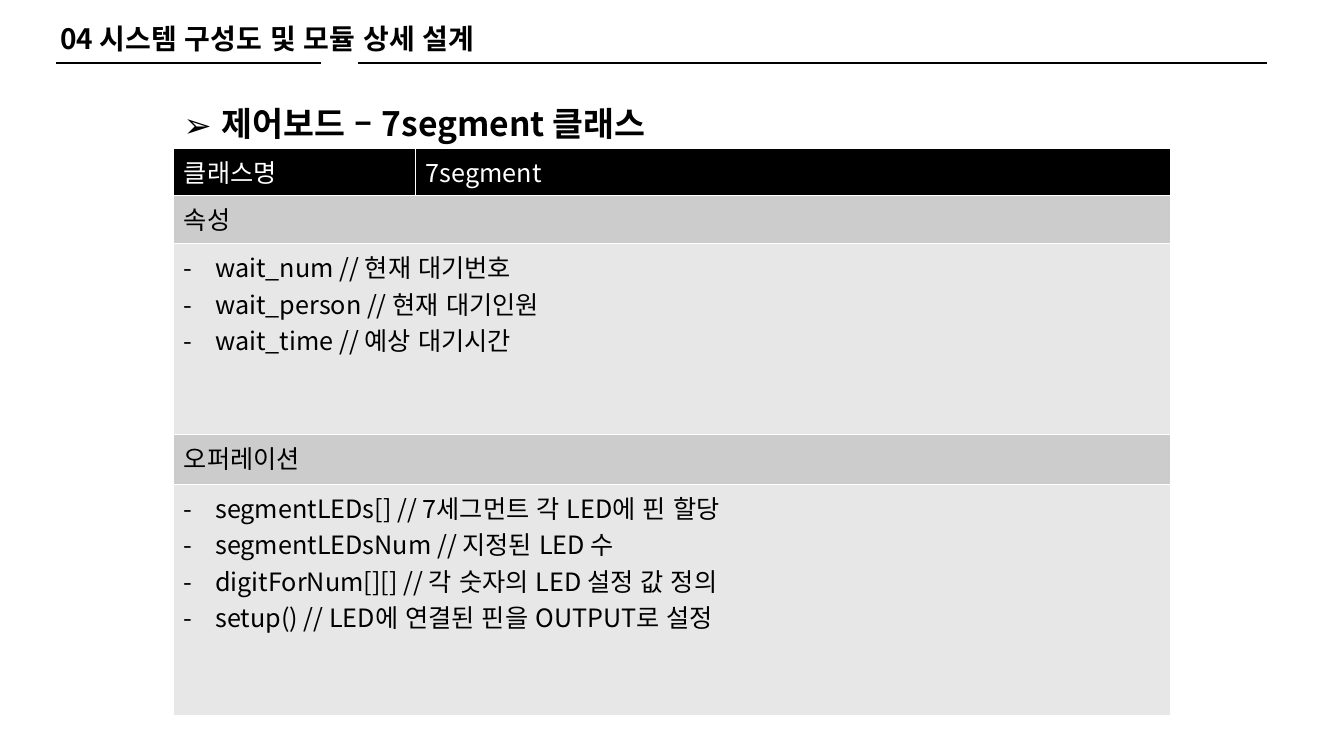
"""Build the slide describing the 7segment class of the control board module."""
from lxml import etree
from pptx import Presentation
from pptx.dml.color import RGBColor
from pptx.enum.lang import MSO_LANGUAGE_ID
from pptx.enum.shapes import MSO_CONNECTOR
from pptx.enum.text import MSO_AUTO_SIZE
from pptx.oxml.ns import qn
from pptx.util import Cm, Pt

STRAIGHT = MSO_CONNECTOR.STRAIGHT
GROW = MSO_AUTO_SIZE.SHAPE_TO_FIT_TEXT
KOREAN = MSO_LANGUAGE_ID.KOREAN
FONT = "Noto Sans CJK KR"
BLACK = RGBColor(0x00, 0x00, 0x00)
WHITE = RGBColor(0xFF, 0xFF, 0xFF)
GREY = RGBColor(0xCC, 0xCC, 0xCC)
PALE = RGBColor(0xE7, 0xE7, 0xE7)

HEADER = "04 시스템 구성도 및 모듈 상세 설계"
TITLE = "제어보드 – 7segment 클래스"
ATTRIBUTES = [
    "wait_num // 현재 대기번호",
    "wait_person // 현재 대기인원",
    "wait_time // 예상 대기시간",
]
OPERATIONS = [
    "segmentLEDs[] // 7세그먼트 각 LED에 핀 할당",
    "segmentLEDsNum // 지정된 LED 수",
    "digitForNum[][] // 각 숫자의 LED 설정 값 정의",
    "setup() // LED에 연결된 핀을 OUTPUT로 설정",
]
ROWS = [
    (1.18, BLACK, WHITE, None, [["클래스명"], ["7segment"]]),
    (1.22, GREY, BLACK, None, [["속성"]]),
    (4.81, PALE, BLACK, "-", [ATTRIBUTES]),
    (1.25, GREY, BLACK, None, [["오퍼레이션"]]),
    (5.84, PALE, BLACK, "-", [OPERATIONS]),
]
COLUMNS = [6.1, 19.01]
TABLE_LEFT, TABLE_TOP = 4.38, 3.74
RULE_Y = 1.58
RULES = [(1.42, 8.08), (9.03, 31.93)]


def write(tf, lines, size=18, color=BLACK, bold=False, bullet=None, indent=0.79):
    for i, line in enumerate(lines):
        p = tf.paragraphs[0] if i == 0 else tf.add_paragraph()
        r = p.add_run()
        r.text = line
        r.font.size, r.font.bold, r.font.name = Pt(size), bold, FONT
        r.font.language_id = KOREAN
        r.font.color.rgb = color
        etree.SubElement(r.font._element, qn("a:ea"), typeface=FONT)
        if bullet:
            pPr = p._p.get_or_add_pPr()
            pPr.set("marL", str(Cm(indent)))
            pPr.set("indent", str(-Cm(indent)))
            etree.SubElement(pPr, qn("a:buFont"), typeface=FONT)
            etree.SubElement(pPr, qn("a:buChar"), char=bullet)


def add_borders(cell, color=WHITE, width=1):
    tcPr = cell._tc.get_or_add_tcPr()
    for i, side in enumerate(("lnL", "lnR", "lnT", "lnB")):
        ln = etree.Element(qn(f"a:{side}"), w=str(Pt(width)))
        fill = etree.SubElement(ln, qn("a:solidFill"))
        etree.SubElement(fill, qn("a:srgbClr"), val=str(color))
        tcPr.insert(i, ln)


def add_class_table(s):
    table = s.shapes.add_table(
        len(ROWS), len(COLUMNS), Cm(TABLE_LEFT), Cm(TABLE_TOP),
        Cm(sum(COLUMNS)), Cm(sum(row[0] for row in ROWS))).table
    for column, width in zip(table.columns, COLUMNS):
        column.width = Cm(width)
    for i, (height, fill, color, bullet, texts) in enumerate(ROWS):
        table.rows[i].height = Cm(height)
        cells = [table.cell(i, j) for j in range(len(COLUMNS))]
        if len(texts) == 1:
            cells[0].merge(cells[-1])
        for cell in cells:
            cell.fill.solid()
            cell.fill.fore_color.rgb = fill
            add_borders(cell)
        for cell, lines in zip(cells, texts):
            write(cell.text_frame, lines, color=color, bullet=bullet)


def add_rule(s, x1, x2):
    line = s.shapes.add_connector(STRAIGHT, Cm(x1), Cm(RULE_Y), Cm(x2), Cm(RULE_Y))
    line.line.color.rgb = BLACK
    line.line.width = Pt(1.5)
    etree.SubElement(line._element.spPr, qn("a:effectLst"))


def add_heading(s, text, left, top, width, height, wrap=True, **style):
    tf = s.shapes.add_textbox(Cm(left), Cm(top), Cm(width), Cm(height)).text_frame
    tf.word_wrap = wrap
    tf.auto_size = GROW
    write(tf, [text], bold=True, **style)


def main():
    prs = Presentation()
    prs.slide_width, prs.slide_height = Cm(33.87), Cm(19.05)
    s = prs.slides.add_slide(prs.slide_layouts[6])
    add_class_table(s)
    for x1, x2 in RULES:
        add_rule(s, x1, x2)
    add_heading(s, HEADER, 1.27, 0.41, 11.56, 1.12, size=20)
    add_heading(s, TITLE, TABLE_LEFT, 2.46, 12.65, 1.27, wrap=False,
                size=24, bullet="➢", indent=0.95)
    prs.save("out.pptx")


if __name__ == "__main__":
    main()
